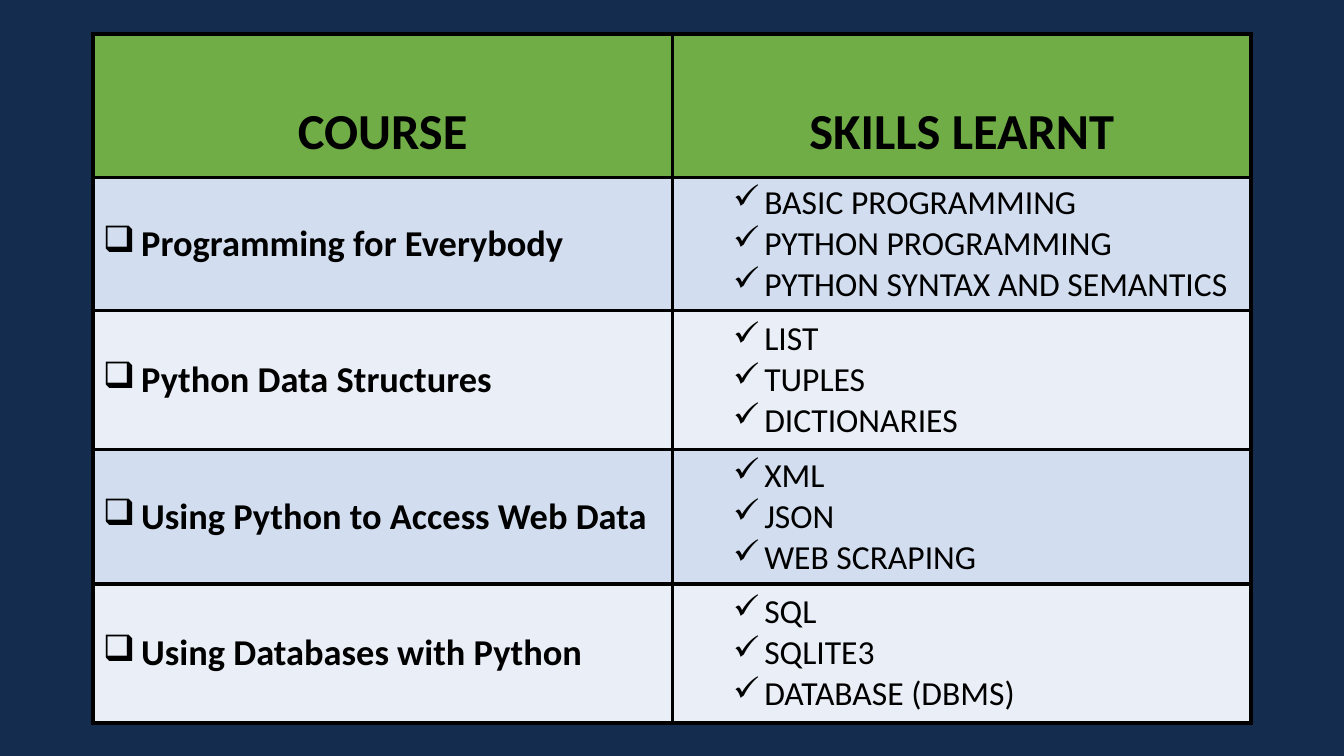
from dataclasses import dataclass

from lxml.etree import SubElement
from pptx import Presentation
from pptx.dml.color import RGBColor
from pptx.enum.text import MSO_ANCHOR, PP_ALIGN
from pptx.oxml.ns import qn
from pptx.util import Inches, Pt


@dataclass(frozen=True)
class Theme:
    font: str = "Calibri"
    background: str = "142C4D"
    header_fill: str = "70AD47"
    band_fills: tuple = ("D2DEEF", "EAEFF7")
    ink: str = "000000"
    header_size: int = 36
    course_size: int = 26
    skill_size: int = 24
    border_width: int = 3


THEME = Theme()
TABLE_LEFT, TABLE_TOP = 0.92, 0.34
COLUMN_WIDTHS = (5.75, 5.74)
ROW_HEIGHTS = (1.42, 1.22, 1.38, 1.33, 1.38)

HEADERS = ("COURSE", "SKILLS LEARNT")
COURSES = (
    ("Programming for Everybody",
     ("BASIC PROGRAMMING", "PYTHON PROGRAMMING", "PYTHON SYNTAX AND SEMANTICS")),
    ("Python Data Structures", ("LIST", "TUPLES", "DICTIONARIES")),
    ("Using Python to Access Web Data", ("XML", "JSON", "WEB SCRAPING")),
    ("Using Databases with Python", ("SQL", "SQLITE3", "DATABASE (DBMS)")),
)


def set_borders(cell):
    properties = cell._tc.get_or_add_tcPr()
    for side in ("lnL", "lnR", "lnT", "lnB"):
        line = SubElement(properties, qn(f"a:{side}"), w=str(Pt(THEME.border_width)))
        fill = SubElement(line, qn("a:solidFill"))
        SubElement(fill, qn("a:srgbClr"), val=THEME.ink)


def set_bullet(paragraph, symbol, margin, hanging):
    properties = paragraph._p.get_or_add_pPr()
    properties.set("marL", str(Inches(margin)))
    properties.set("indent", str(-Inches(hanging)))
    SubElement(properties, qn("a:buChar"), char=symbol)


def fill_cell(cell, lines, fill, size, bold):
    """Write one paragraph per line and return the paragraphs."""
    set_borders(cell)
    cell.fill.solid()
    cell.fill.fore_color.rgb = RGBColor.from_string(fill)
    cell.text_frame.text = "\n".join(lines)
    paragraphs = cell.text_frame.paragraphs
    for paragraph in paragraphs:
        for run in paragraph.runs:
            run.font.name = THEME.font
            run.font.size = Pt(size)
            run.font.bold = bold
            run.font.color.rgb = RGBColor.from_string(THEME.ink)
    return paragraphs


def add_header(cell, title):
    for paragraph in fill_cell(cell, [title], THEME.header_fill, THEME.header_size, True):
        paragraph.alignment = PP_ALIGN.CENTER
        paragraph.line_spacing = 2.0


def add_course(cell, name, fill):
    cell.vertical_anchor = MSO_ANCHOR.MIDDLE
    for paragraph in fill_cell(cell, [name], fill, THEME.course_size, True):
        set_bullet(paragraph, "❑", 0.38, 0.38)


def add_skills(cell, skills, fill):
    cell.vertical_anchor = MSO_ANCHOR.MIDDLE
    for paragraph in fill_cell(cell, skills, fill, THEME.skill_size, False):
        paragraph.level = 1
        set_bullet(paragraph, "✓", 0.81, 0.31)


def add_course_table(slide):
    table = slide.shapes.add_table(
        len(ROW_HEIGHTS), len(COLUMN_WIDTHS), Inches(TABLE_LEFT), Inches(TABLE_TOP),
        Inches(sum(COLUMN_WIDTHS)), Inches(sum(ROW_HEIGHTS))).table
    for column, width in zip(table.columns, COLUMN_WIDTHS):
        column.width = Inches(width)
    for row, height in zip(table.rows, ROW_HEIGHTS):
        row.height = Inches(height)

    # Header row
    for column, title in enumerate(HEADERS):
        add_header(table.cell(0, column), title)

    # Course rows in alternating bands
    for index, (name, skills) in enumerate(COURSES):
        fill = THEME.band_fills[index % 2]
        add_course(table.cell(index + 1, 0), name, fill)
        add_skills(table.cell(index + 1, 1), skills, fill)


def main():
    presentation = Presentation()
    presentation.slide_width = Inches(13.33)
    presentation.slide_height = Inches(7.5)
    slide = presentation.slides.add_slide(presentation.slide_layouts[6])

    # Background
    background = slide.background.fill
    background.solid()
    background.fore_color.rgb = RGBColor.from_string(THEME.background)

    add_course_table(slide)
    presentation.save("out.pptx")


if __name__ == "__main__":
    main()
